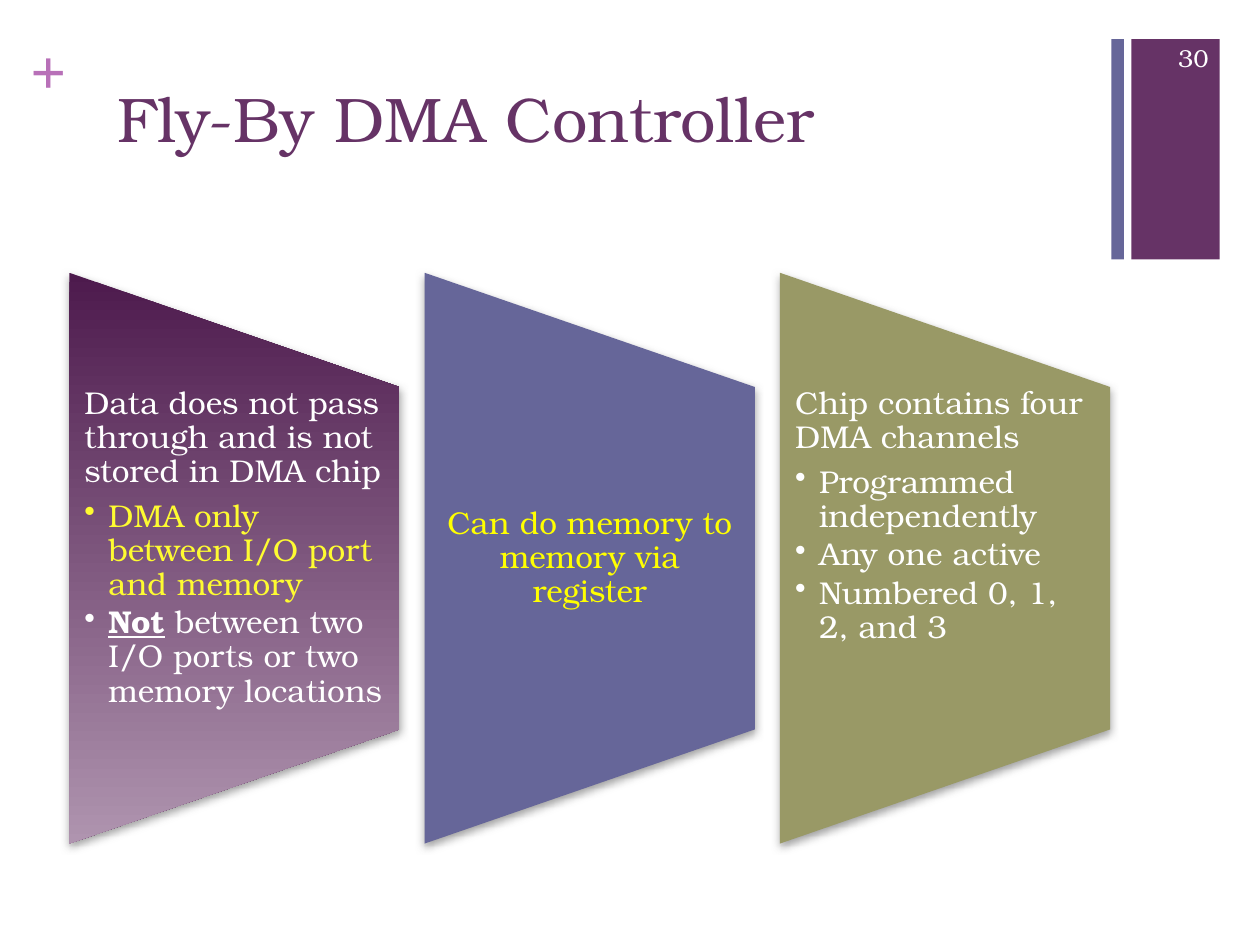
from lxml import etree
from pptx import Presentation
from pptx.dml.color import RGBColor
from pptx.enum.shapes import MSO_SHAPE
from pptx.enum.text import MSO_ANCHOR, PP_ALIGN
from pptx.oxml.ns import qn
from pptx.util import Inches, Pt

FONT = "TeX Gyre Bonum"
PURPLE = RGBColor(0x66, 0x33, 0x66)
DARK_PURPLE = RGBColor(0x4D, 0x1A, 0x4D)
PALE_PURPLE = RGBColor(0xAF, 0x94, 0xAF)
ORCHID = RGBColor(0xB8, 0x70, 0xB8)
BLUE = RGBColor(0x66, 0x66, 0x99)
OLIVE = RGBColor(0x99, 0x99, 0x66)
WHITE = RGBColor(0xFF, 0xFF, 0xFF)
YELLOW = RGBColor(0xFF, 0xFF, 0x00)
SOFT_YELLOW = RGBColor(0xFE, 0xFB, 0x31)

PANEL_LEFT, PANEL_STEP, PANEL_WIDTH = 0.55, 2.82, 2.62
PANEL_HEIGHT, PANEL_MIDDLE = 4.53, 4.43
TEXT_TOP, TEXT_HEIGHT = 3.07, 2.72

# Each panel: fill colours, centred or not, heading colour, heading, bullets.
# Each bullet: colour, emphasised opening, remaining text.
PANELS = [
    ((DARK_PURPLE, PALE_PURPLE), False, WHITE,
     "Data does not pass through and is not stored in DMA chip",
     [(SOFT_YELLOW, "", "DMA only between I/O port and memory"),
      (WHITE, "Not", " between two I/O ports or two memory locations")]),
    ((BLUE,), True, YELLOW, "Can do memory to memory via register", []),
    ((OLIVE,), False, WHITE, "Chip contains four DMA channels",
     [(WHITE, "", "Programmed independently"),
      (WHITE, "", "Any one active"),
      (WHITE, "", "Numbered 0, 1, 2, and 3")]),
]


def style_font(font, size, color, name=FONT):
    font.name = name
    font.size = Pt(size)
    font.color.rgb = color


def add_bar(slide, left, width, color):
    sp = slide.shapes.add_shape(MSO_SHAPE.RECTANGLE, Inches(left), Inches(0.31),
                                Inches(width), Inches(1.75))
    sp.shadow.inherit = False
    sp.fill.solid()
    sp.fill.fore_color.rgb = color
    sp.line.fill.background()


def add_text_box(slide, left, top, width, height, side=0.1, edge=0.05):
    """Add an empty text box with the given side and top/bottom insets."""
    box = slide.shapes.add_textbox(Inches(left), Inches(top), Inches(width), Inches(height))
    tf = box.text_frame
    tf.word_wrap = True
    tf.margin_left = tf.margin_right = Inches(side)
    tf.margin_top = tf.margin_bottom = Inches(edge)
    return tf


def set_title(slide, text):
    title = slide.shapes.title
    title.left, title.top = Inches(0.83), Inches(0.58)
    title.width, title.height = Inches(8.26), Inches(1.22)
    tf = title.text_frame
    tf.text = text
    tf.vertical_anchor = MSO_ANCHOR.TOP
    p = tf.paragraphs[0]
    p.alignment = PP_ALIGN.LEFT
    style_font(p.runs[0].font, 36, PURPLE)


def add_drop_shadow(sp):
    sp.shadow.inherit = False
    effects = sp._element.spPr.find(qn("a:effectLst"))
    shadow = etree.SubElement(effects, qn("a:outerShdw"), blurRad=str(Pt(5)),
                              dist=str(Pt(2)), dir="5400000", rotWithShape="0")
    color = etree.SubElement(shadow, qn("a:srgbClr"), val="808080")
    etree.SubElement(color, qn("a:alpha"), val="75000")


def add_panel_shape(slide, left, colors):
    """Add a trapezoid turned on its side; two colours make a downward gradient."""
    center = left + PANEL_WIDTH / 2
    sp = slide.shapes.add_shape(
        MSO_SHAPE.FLOWCHART_MANUAL_OPERATION,
        Inches(center - PANEL_HEIGHT / 2), Inches(PANEL_MIDDLE - PANEL_WIDTH / 2),
        Inches(PANEL_HEIGHT), Inches(PANEL_WIDTH))
    sp.rotation = 270
    if len(colors) == 1:
        sp.fill.solid()
        sp.fill.fore_color.rgb = colors[0]
    else:
        sp.fill.gradient()
        sp.fill.gradient_angle = 270
        for stop, position, color in zip(sp.fill.gradient_stops, (0, 1), colors):
            stop.position = position
            stop.color.rgb = color
        sp._element.spPr.find(qn("a:gradFill")).set("rotWithShape", "0")
    sp.line.fill.background()
    add_drop_shadow(sp)


def add_bullet(tf, color, emphasis, text):
    p = tf.add_paragraph()
    p.level = 1
    p.line_spacing = 0.9
    p.space_after = Pt(2.7)
    pPr = p._p.get_or_add_pPr()
    pPr.set("marL", str(Inches(0.19)))
    pPr.set("indent", str(-Inches(0.19)))
    etree.SubElement(pPr, qn("a:buChar"), char="•")
    if emphasis:
        r = p.add_run()
        r.text = emphasis
        r.font.bold = r.font.underline = True
    p.add_run().text = text
    for r in p.runs:
        style_font(r.font, 18, color)


def add_panel_text(slide, left, centered, color, heading, bullets):
    tf = add_text_box(slide, left, TEXT_TOP, PANEL_WIDTH, TEXT_HEIGHT, side=0.12, edge=0)
    tf.text = heading
    p = tf.paragraphs[0]
    p.line_spacing = 0.9
    p.space_after = Pt(6.3)
    style_font(p.runs[0].font, 18, color)
    if centered:
        p.alignment = PP_ALIGN.CENTER
        tf.vertical_anchor = MSO_ANCHOR.MIDDLE
    for bullet in bullets:
        add_bullet(tf, *bullet)


def add_plus_sign(slide):
    tf = add_text_box(slide, 0.24, 0.25, 0.29, 0.61, side=0, edge=0)
    tf.word_wrap = False
    tf.text = "+"
    font = tf.paragraphs[0].runs[0].font
    style_font(font, 36, ORCHID, "Times New Roman")
    font.bold = True


def add_slide_number(slide, number):
    tf = add_text_box(slide, 9.08, 0.26, 0.61, 0.4)
    tf.text = number
    tf.vertical_anchor = MSO_ANCHOR.MIDDLE
    p = tf.paragraphs[0]
    p.alignment = PP_ALIGN.RIGHT
    style_font(p.runs[0].font, 14, WHITE)


def main():
    prs = Presentation()
    prs.slide_width, prs.slide_height = Inches(10), Inches(7.5)
    slide = prs.slides.add_slide(prs.slide_layouts[5])

    add_bar(slide, 8.98, 0.7, PURPLE)
    add_plus_sign(slide)
    add_bar(slide, 8.82, 0.1, BLUE)
    set_title(slide, "Fly-By DMA Controller")
    for i, (colors, *content) in enumerate(PANELS):
        left = PANEL_LEFT + i * PANEL_STEP
        add_panel_shape(slide, left, colors)
        add_panel_text(slide, left, *content)
    add_slide_number(slide, "30")

    prs.save("out.pptx")


if __name__ == "__main__":
    main()
